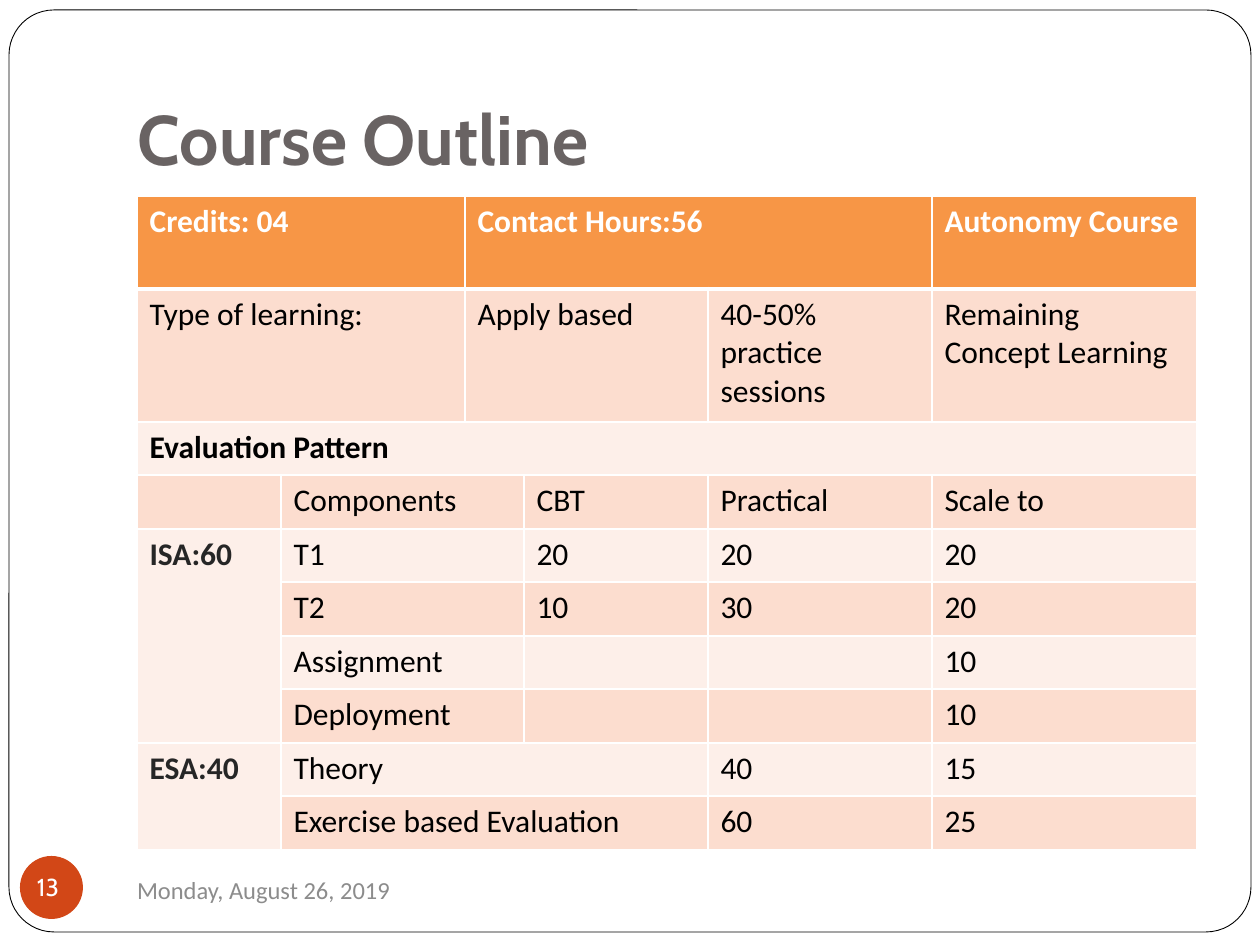
from lxml import etree
from pptx import Presentation
from pptx.dml.color import RGBColor
from pptx.enum.shapes import MSO_SHAPE
from pptx.oxml.ns import qn
from pptx.util import Emu, Pt

ROUNDED, OVAL = MSO_SHAPE.ROUNDED_RECTANGLE, MSO_SHAPE.OVAL

BLACK = RGBColor(0x00, 0x00, 0x00)
WHITE = RGBColor(0xFF, 0xFF, 0xFF)
TITLE_GREY = RGBColor(0x69, 0x63, 0x63)
DATE_GREY = RGBColor(0x8C, 0x8C, 0x8C)
DARK = RGBColor(0x26, 0x26, 0x26)
RED = RGBColor(0xD2, 0x47, 0x17)
ORANGE = RGBColor(0xF7, 0x96, 0x46)
PEACH = RGBColor(0xFC, 0xDD, 0xCF)
PALE = RGBColor(0xFD, 0xEF, 0xE9)

HEAD_FONT, BODY_FONT = "Cabin", "Calibri"

COLS = [144, 184, 59, 184, 224, 265]
ROWS = [93, 133] + [53, 54] * 4
CELLS = [
    ["Credits: 04", "", "Contact Hours:56", "", "", "Autonomy Course"],
    ["Type of learning:", "", "Apply based", "", "40-50% practice sessions",
     "Remaining Concept Learning"],
    ["Evaluation Pattern", "", "", "", "", ""],
    ["", "Components", "", "CBT", "Practical", "Scale to"],
    ["ISA:60", "T1", "", "20", "20", "20"],
    ["", "T2", "", "10", "30", "20"],
    ["", "Assignment", "", "", "", "10"],
    ["", "Deployment", "", "", "", "10"],
    ["ESA:40", "Theory", "", "", "40", "15"],
    ["", "Exercise based Evaluation", "", "", "60", "25"],
]
# First row, first column, last row, last column
MERGES = [(0, 0, 0, 1), (0, 2, 0, 4), (1, 0, 1, 1), (1, 2, 1, 3), (2, 0, 2, 5),
          (4, 0, 7, 0), (8, 0, 9, 0), (8, 1, 8, 3), (9, 1, 9, 3)]
MERGES += [(row, 1, row, 2) for row in range(3, 8)]


def px(n):
    return Emu(round(n * 914400 / 126))


def style(p, font, size, color, bold=False):
    for r in p.runs:
        r.font.name = font
        r.font.size = Pt(size)
        r.font.bold = bold
        r.font.color.rgb = color


def add_text(slide, box, text, font, size, color, bold=False):
    tf = slide.shapes.add_textbox(*map(px, box)).text_frame
    tf.word_wrap = True
    tf.margin_left = tf.margin_top = tf.margin_right = tf.margin_bottom = 0
    tf.text = text
    style(tf.paragraphs[0], font, size, color, bold)
    return tf


def add_frame(slide, box, radius):
    sp = slide.shapes.add_shape(ROUNDED, *map(px, box))
    sp.shadow.inherit = False
    sp.adjustments[0] = radius / min(box[2:])
    sp.fill.background()
    sp.line.color.rgb = BLACK
    sp.line.width = Pt(0.5)


def add_page_number(slide, box, number):
    x, y, w, h = box
    sp = slide.shapes.add_shape(OVAL, *map(px, box))
    sp.shadow.inherit = False
    sp.fill.solid()
    sp.fill.fore_color.rgb = RED
    sp.line.fill.background()
    tf = add_text(slide, (x + 14, y + 16, 37, 32), number, HEAD_FONT, 14, WHITE)
    tf.margin_left = px(3)
    tf.paragraphs[0].line_spacing = Pt(16.6)


def set_borders(cell, bottom):
    tc_pr = cell._tc.get_or_add_tcPr()
    for tag, width in (("lnL", 1), ("lnR", 1), ("lnT", 1), ("lnB", bottom)):
        ln = etree.SubElement(tc_pr, qn("a:" + tag), w=str(Pt(width)))
        fill = etree.SubElement(ln, qn("a:solidFill"))
        etree.SubElement(fill, qn("a:srgbClr"), val=str(WHITE))


def add_outline_table(slide, x, y):
    frame = slide.shapes.add_table(len(ROWS), len(COLS), px(x), px(y),
                                   px(sum(COLS)), px(sum(ROWS)))
    table = frame.table
    for col, width in zip(table.columns, COLS):
        col.width = px(width)
    for row, height in zip(table.rows, ROWS):
        row.height = px(height)

    for i, texts in enumerate(CELLS):
        header = i == 0
        fill = ORANGE if header else PEACH if i % 2 else PALE
        for j, text in enumerate(texts):
            cell = table.cell(i, j)
            set_borders(cell, 3 if header else 1)
            cell.fill.solid()
            cell.fill.fore_color.rgb = fill
            cell.text = text
            label = j == 0 and i > 3
            color = WHITE if header else DARK if label else BLACK
            style(cell.text_frame.paragraphs[0], BODY_FONT, 18, color,
                  header or label or i == 2)

    for top, left, bottom, right in MERGES:
        table.cell(top, left).merge(table.cell(bottom, right))


def main():
    prs = Presentation()
    prs.slide_width, prs.slide_height = px(1260), px(945)
    slide = prs.slides.add_slide(prs.slide_layouts[6])

    # Frame and title
    add_frame(slide, (9, 10, 1242, 922), 45)
    add_text(slide, (138, 96, 630, 86), "Course Outline", HEAD_FONT, 40,
             TITLE_GREY, True)

    # Course table
    add_outline_table(slide, 137, 196)

    # Footer
    add_text(slide, (137, 875, 410, 30), "Monday, August 26, 2019",
             BODY_FONT, 14, DATE_GREY)
    add_page_number(slide, (20, 856, 63, 63), "13")

    prs.save("out.pptx")


if __name__ == "__main__":
    main()
